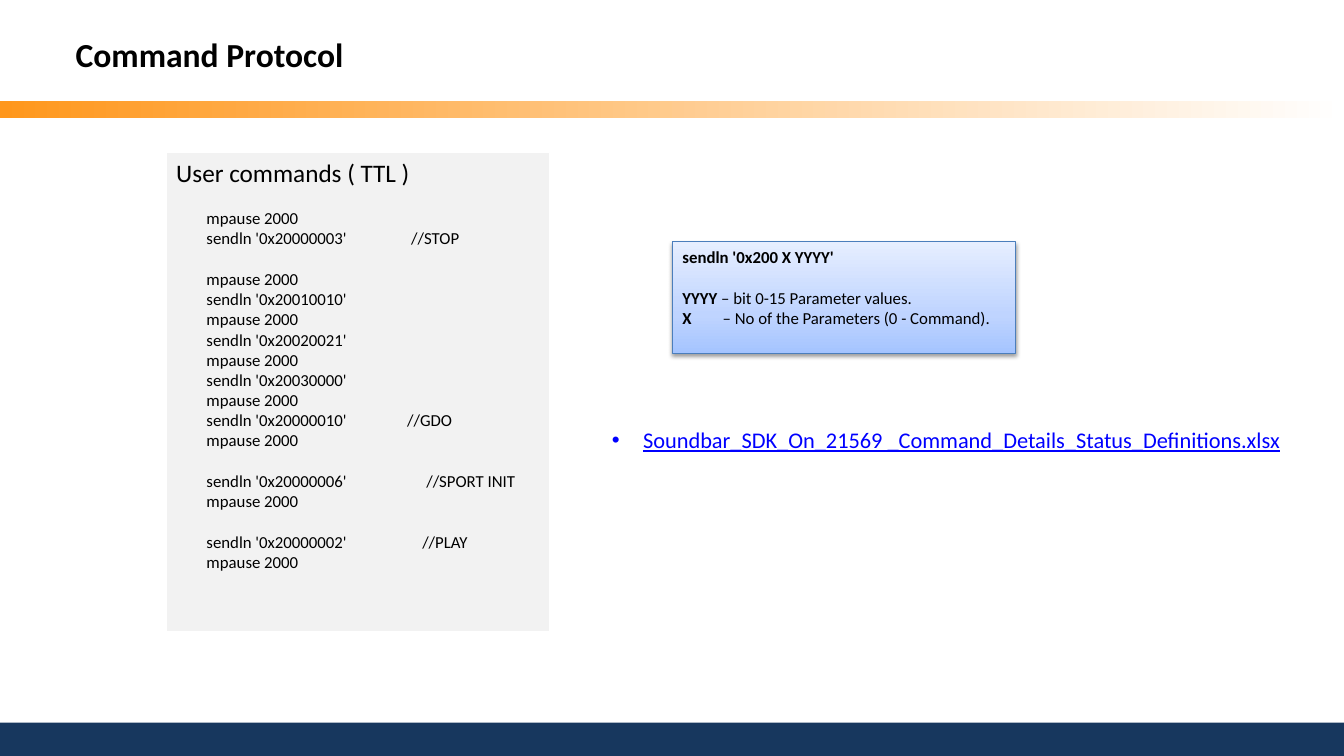
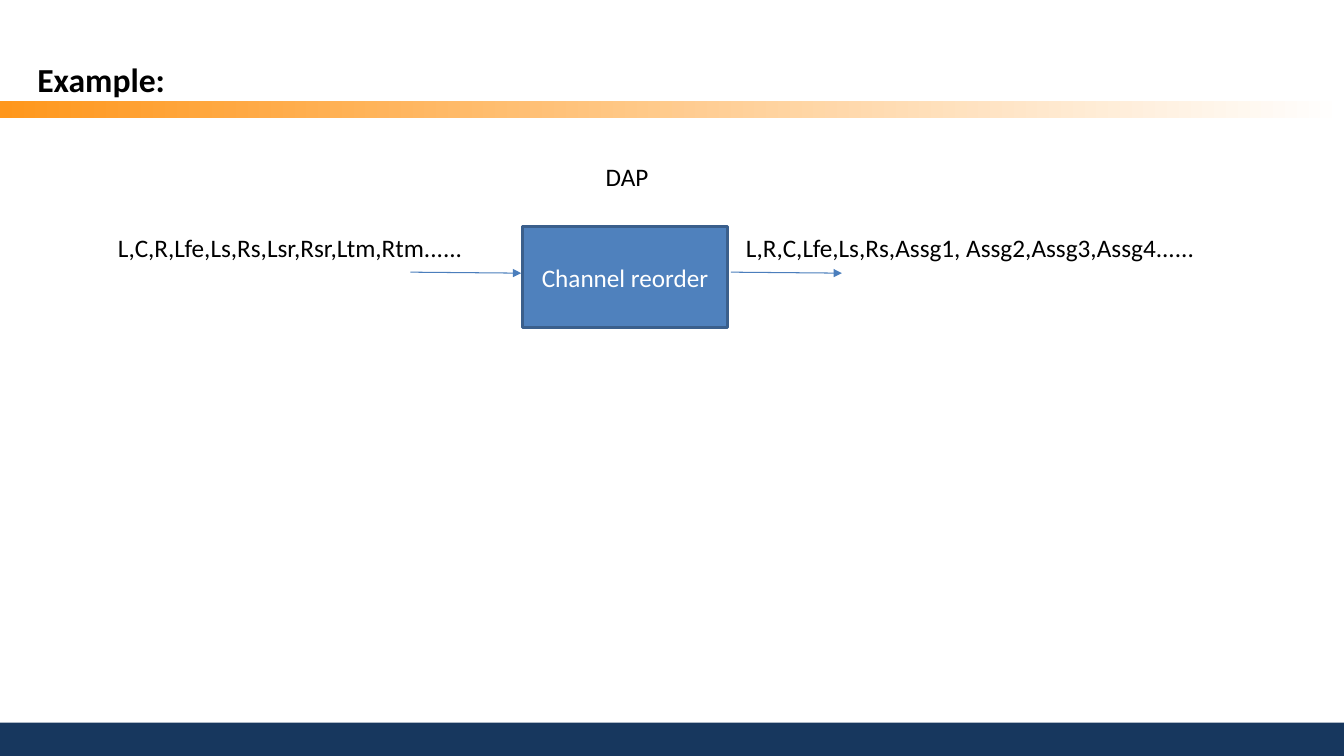
from dataclasses import dataclass

from lxml import etree
from pptx import Presentation
from pptx import util as u
from pptx.dml.color import RGBColor
from pptx.enum import shapes, text
from pptx.oxml import ns

Inches, Pt = u.Inches, u.Pt
LEFT, CENTER = text.PP_ALIGN.LEFT, text.PP_ALIGN.CENTER
TOP, MIDDLE = text.MSO_ANCHOR.TOP, text.MSO_ANCHOR.MIDDLE


@dataclass(frozen=True)
class Theme:
    font: str = "Calibri"
    black: str = "000000"
    white: str = "FFFFFF"
    navy: str = "17375E"
    orange: str = "FF971C"
    gray: str = "F2F2F2"
    link: str = "0000FF"
    blue: str = "4F81BD"
    blue_edge: str = "3A5F8C"
    thin_edge: str = "4B7EBC"
    pale_blues: tuple = ((0, "A4C4FF"), (35, "BFD4FF"), (100, "E6EEFF"))
    title: int = 24
    body: int = 18
    bullet: int = 16
    code: int = 12
    code_gap: float = 14.65


def add(parent, tag, **attrs):
    return etree.SubElement(parent, ns.qn(tag), {k: str(v) for k, v in attrs.items()})


class Deck:
    """Holds the theme and the current slide, and draws each kind of element."""

    def __init__(self, theme):
        self.t = theme
        self.prs = Presentation()
        self.prs.slide_width, self.prs.slide_height = Inches(13.33), Inches(7.5)
        self.layout = self.prs.slide_layouts[5]
        self.s = None

    def slide(self, title, *at):
        self.s = self.prs.slides.add_slide(self.layout)
        if len(self.prs.slides) == 1:
            self.layout_bands()
        sp = self.s.shapes.title
        sp.left, sp.top, sp.width, sp.height = map(Inches, at)
        sp.text_frame.auto_size = text.MSO_AUTO_SIZE.NONE
        sp.text_frame.vertical_anchor = MIDDLE
        self.para(sp.text_frame, title, self.t.title, bold=True)

    def layout_bands(self):
        footer = self.box(0, 7.17, 13.33, 0.33, fill=self.t.navy)
        rule = self.box(0, 1, 13.33, 0.17)
        self.gradient(rule, ((0, self.t.orange), (100, self.t.white)), 0)
        for i, band in enumerate((footer, rule)):
            band.element.nvSpPr.cNvPr.set("id", str(101 + i))
            self.layout.shapes.element.insert(2 + i, band.element)

    def box(self, *at, fill=None, line=None, weight=0, anchor=TOP):
        sp = self.s.shapes.add_shape(shapes.MSO_SHAPE.RECTANGLE, *map(Inches, at))
        sp.shadow.inherit = False
        if fill:
            sp.fill.solid()
            sp.fill.fore_color.rgb = RGBColor.from_string(fill)
        if line:
            sp.line.color.rgb = RGBColor.from_string(line)
            sp.line.width = Pt(weight)
        else:
            sp.line.fill.background()
        sp.text_frame.vertical_anchor = anchor
        return sp

    def gradient(self, sp, stops, angle):
        sp.fill.gradient()
        sp.fill.gradient_angle = angle
        gs_list = sp.element.spPr.find(".//" + ns.qn("a:gsLst"))
        for gs in list(gs_list):
            gs_list.remove(gs)
        for pos, color in stops:
            add(add(gs_list, "a:gs", pos=pos * 1000), "a:srgbClr", val=color)

    def shadow(self, sp):
        effects = sp.element.spPr.find(ns.qn("a:effectLst"))
        outer = add(effects, "a:outerShdw", blurRad=Pt(3.1), dist=Pt(1.6),
                    dir=5400000, rotWithShape=0)
        add(add(outer, "a:srgbClr", val=self.t.black), "a:alpha", val=38000)

    def label(self, content, *at, **style):
        tf = self.s.shapes.add_textbox(*map(Inches, at)).text_frame
        tf.word_wrap = True
        return self.para(tf, content, **style)

    def para(self, tf, content, size=None, color=None, bold=False, align=LEFT,
             before=0, tabs=(), bullet=None):
        p = tf.paragraphs[0] if not tf.text else tf.add_paragraph()
        runs = [(content, None)] if isinstance(content, str) else content
        for words, run_bold in runs:
            r = p.add_run()
            r.text = words
            if run_bold is not None:
                r.font.bold = run_bold
        p.alignment = align
        pr = p._p.get_or_add_pPr()
        if bullet:
            pr.set("marL", str(Inches(0.31)))
            pr.set("indent", str(-Inches(0.31)))
            add(pr, "a:buFont", typeface="Arial")
            add(pr, "a:buChar", char=bullet)
        if tabs:
            tab_list = add(pr, "a:tabLst")
            for pos in tabs:
                add(tab_list, "a:tab", pos=Inches(pos), algn="l")
        if before:
            p.space_before = Pt(before)
        p.font.name, p.font.size, p.font.bold = self.t.font, Pt(size or self.t.body), bold
        p.font.color.rgb = RGBColor.from_string(color or self.t.black)
        return p

    def arrow(self, x1, y1, x2, y2):
        line = self.s.shapes.add_connector(shapes.MSO_CONNECTOR.STRAIGHT,
                                           *map(Inches, (x1, y1, x2, y2)))
        line.line.color.rgb = RGBColor.from_string(self.t.thin_edge)
        line.line.width = Pt(0.75)
        add(line.line._get_or_add_ln(), "a:tailEnd", type="triangle")
        add(line.element.spPr, "a:effectLst")


COMMAND_GROUPS = [
    [("mpause 2000",), ("sendln '0x20000003'", "//STOP", 2.33)],
    [("mpause 2000",), ("sendln '0x20010010'",),
     ("mpause 2000",), ("sendln '0x20020021'",),
     ("mpause 2000",), ("sendln '0x20030000'",),
     ("mpause 2000",), ("sendln '0x20000010'", "//GDO", 2.29),
     ("mpause 2000",)],
    [("sendln '0x20000006'", "//SPORT INIT", 2.48), ("mpause 2000",)],
    [("sendln '0x20000002'", "//PLAY", 2.44), ("mpause 2000",)],
]


def command_protocol(d):
    t = d.t
    d.slide("Command Protocol", 0.65, 0.25, 5.91, 0.58)
    tf = d.box(1.65, 1.51, 3.8, 4.75, fill=t.gray, line=t.white, weight=0.5).text_frame
    d.para(tf, "User commands ( TTL )")
    for group in COMMAND_GROUPS:
        for i, (command, *note) in enumerate(group):
            line = "\t" + "\t".join([command, *note[:1]])
            d.para(tf, line, t.code, before=0 if i else t.code_gap, tabs=(0.3, *note[1:]))

    sp = d.box(6.67, 2.4, 3.4, 1.11, line=t.thin_edge, weight=0.75)
    d.gradient(sp, t.pale_blues, 90)
    d.shadow(sp)
    tf = sp.text_frame
    d.para(tf, "sendln '0x200 X YYYY'", t.code, bold=True)
    d.para(tf, [("YYYY", True), (" – bit 0-15 Parameter values.", False)],
           t.code, before=t.code_gap)
    d.para(tf, [("X", True), ("\t– No of the Parameters (0 - Command).", False)],
           t.code, tabs=(0.4,))

    p = d.label("Soundbar_SDK_On_21569 _Command_Details_Status_Definitions.xlsx",
                5.97, 4.18, 7.2, 0.37, size=t.bullet, color=t.link, bullet="•")
    p.font.underline = True


def example(d):
    t = d.t
    d.slide("Example:", 0.27, 0.53, 4.62, 0.5)
    sp = d.box(5.18, 2.25, 2.04, 1, fill=t.blue, line=t.blue_edge, weight=2, anchor=MIDDLE)
    d.para(sp.text_frame, "Channel reorder", color=t.white, align=CENTER)
    for x in (4.07, 7.25):
        d.arrow(x, 2.7, x + 1.1, 2.71)
    d.label("L,C,R,Lfe,Ls,Rs,Lsr,Rsr,Ltm,Rtm......", 1.07, 2.26, 4.1, 0.4)
    d.label("DAP", 4.83, 1.55, 2.78, 0.4, align=CENTER)
    d.label("L,R,C,Lfe,Ls,Rs,Assg1, Assg2,Assg3,Assg4......", 7.3, 2.26, 5, 0.4)


def main():
    d = Deck(Theme())
    command_protocol(d)
    example(d)
    d.prs.save("out.pptx")


if __name__ == "__main__":
    main()
